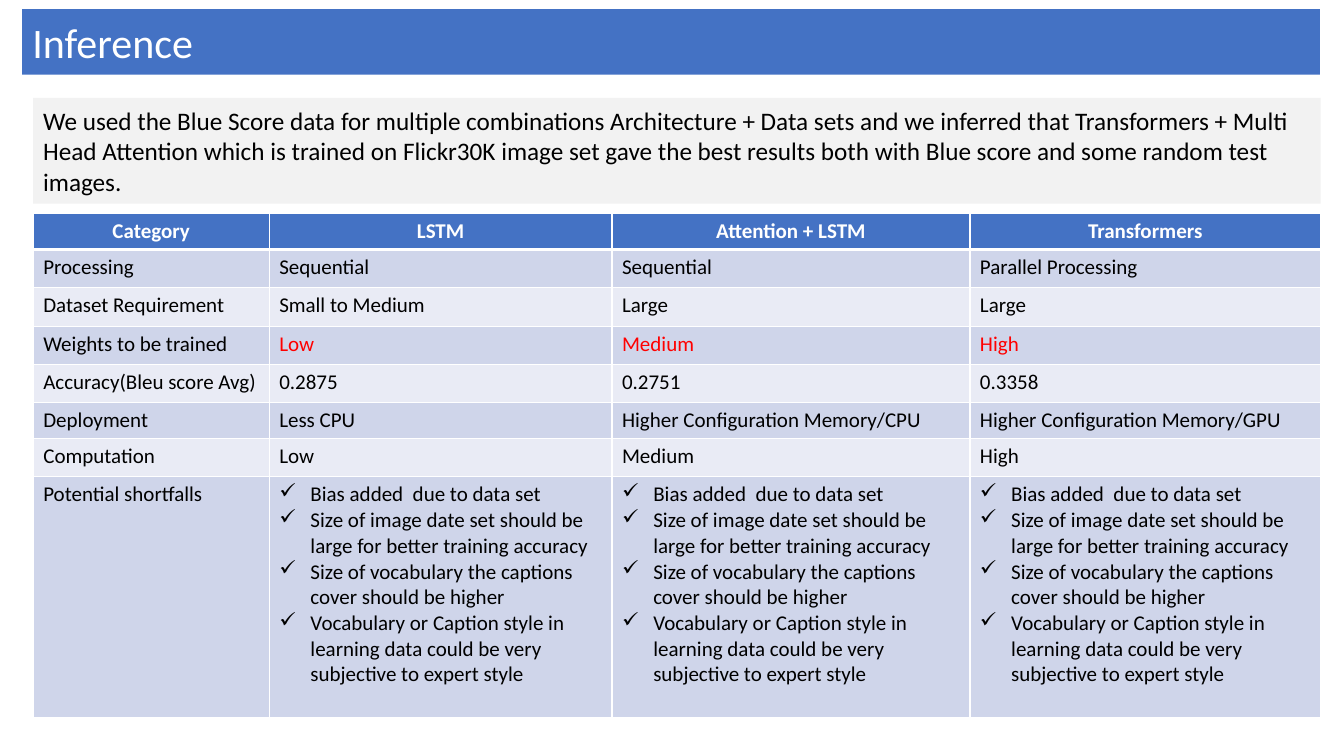
from pptx import Presentation
from pptx import util as u
from pptx.dml.color import RGBColor
from pptx.enum import shapes, text
from pptx.oxml import parse_xml
from pptx.oxml.ns import nsdecls

COLORS = {
    "blue": "4472C4", "white": "FFFFFF", "black": "000000", "red": "FF0000",
    "gray": "F2F2F2", "dark": "CFD5EA", "light": "E9EBF5",
}
FONT = "Calibri"
LEFT, WIDTH = 0.33, 12.77
COLS = [2.34, 3.4, 3.55, 3.48]
HEIGHTS = [0.35, 0.38, 0.38, 0.38, 0.38, 0.35, 0.38, 2.39]
INTRO = (
    "We used the Blue Score data for multiple combinations Architecture + "
    "Data sets and we inferred that Transformers + Multi Head Attention which "
    "is trained on Flickr30K image set gave the best results both with Blue "
    "score and some random test images."
)
FLAWS = [
    "Bias added  due to data set",
    "Size of image date set should be large for better training accuracy",
    "Size of vocabulary the captions cover should be higher",
    "Vocabulary or Caption style in learning data could be very subjective "
    "to expert style",
]
ROWS = [
    ["Category", "LSTM", "Attention + LSTM", "Transformers"],
    ["Processing", "Sequential", "Sequential", "Parallel Processing"],
    ["Dataset Requirement", "Small to Medium", "Large", "Large"],
    ["Weights to be trained", "Low", "Medium", "High"],
    ["Accuracy(Bleu score Avg)", "0.2875", "0.2751", "0.3358"],
    ["Deployment", "Less CPU", "Higher Configuration Memory/CPU",
     "Higher Configuration Memory/GPU"],
    ["Computation", "Low", "Medium", "High"],
    ["Potential shortfalls", FLAWS, FLAWS, FLAWS],
]
WEIGHTS = 3  # row whose values stand out in red


def paint(fill, color):
    fill.solid()
    fill.fore_color.rgb = RGBColor.from_string(COLORS[color])


def write(para, words, size, color, bold=False, align=text.PP_ALIGN.LEFT):
    para.alignment = align
    run = para.add_run()
    run.text = words
    font = run.font
    font.name, font.size, font.bold = FONT, u.Pt(size), bold
    font.color.rgb = RGBColor.from_string(COLORS[color])


def fill_box(box, words, size, color, back):
    """Paint a box and write one paragraph, centred vertically."""
    paint(box.fill, back)
    frame = box.text_frame
    frame.word_wrap = True
    frame.auto_size = text.MSO_AUTO_SIZE.NONE
    frame.vertical_anchor = text.MSO_ANCHOR.MIDDLE
    write(frame.paragraphs[0], words, size, color)


def add_title(slide):
    title = slide.shapes.title
    title.left, title.top = u.Inches(0.22), u.Inches(0.09)
    title.width, title.height = u.Inches(12.87), u.Inches(0.65)
    fill_box(title, "Inference", 30, "white", "blue")


def add_intro(slide):
    box = slide.shapes.add_shape(
        shapes.MSO_SHAPE.RECTANGLE, u.Inches(LEFT), u.Inches(0.97),
        u.Inches(WIDTH), u.Inches(1.05))
    box.shadow.inherit = False
    box.line.fill.background()
    fill_box(box, INTRO, 18, "black", "gray")


def add_check(para):
    props = para._p.get_or_add_pPr()
    indent = u.Inches(0.31)
    props.set("marL", str(indent))
    props.set("indent", str(-indent))
    props.append(parse_xml(f'<a:buChar {nsdecls("a")} char="✓"/>'))


def add_edges(cell, row):
    """Draw white borders, with a thick rule under the header row."""
    props = cell._tc.get_or_add_tcPr()
    thick = {"T": row == 1, "B": row == 0}
    for side in "LRTB":
        width = u.Pt(3 if thick.get(side) else 1)
        props.append(parse_xml(
            f'<a:ln{side} {nsdecls("a")} w="{width}"><a:solidFill>'
            f'<a:srgbClr val="{COLORS["white"]}"/></a:solidFill></a:ln{side}>'))


def fill_cell(cell, value, row, col):
    head = row == 0
    add_edges(cell, row)
    paint(cell.fill, "blue" if head else "dark" if row % 2 else "light")
    frame = cell.text_frame
    if isinstance(value, list):
        for i, item in enumerate(value):
            para = frame.add_paragraph() if i else frame.paragraphs[0]
            add_check(para)
            write(para, item, 15, "black")
    elif head:
        write(frame.paragraphs[0], value, 15, "white", True,
              text.PP_ALIGN.CENTER)
    else:
        color = "red" if row == WEIGHTS and col else "black"
        write(frame.paragraphs[0], value, 15, color)


def add_grid(slide):
    table = slide.shapes.add_table(
        len(ROWS), len(COLS), u.Inches(LEFT), u.Inches(2.12),
        u.Inches(WIDTH), u.Inches(sum(HEIGHTS))).table
    for column, width in zip(table.columns, COLS):
        column.width = u.Inches(width)
    for r, (values, height) in enumerate(zip(ROWS, HEIGHTS)):
        table.rows[r].height = u.Inches(height)
        for c, value in enumerate(values):
            fill_cell(table.cell(r, c), value, r, c)


def main():
    deck = Presentation()
    deck.slide_width, deck.slide_height = u.Inches(13.33), u.Inches(7.5)
    slide = deck.slides.add_slide(deck.slide_layouts[5])
    add_title(slide)
    add_grid(slide)
    add_intro(slide)
    deck.save("out.pptx")


if __name__ == "__main__":
    main()
